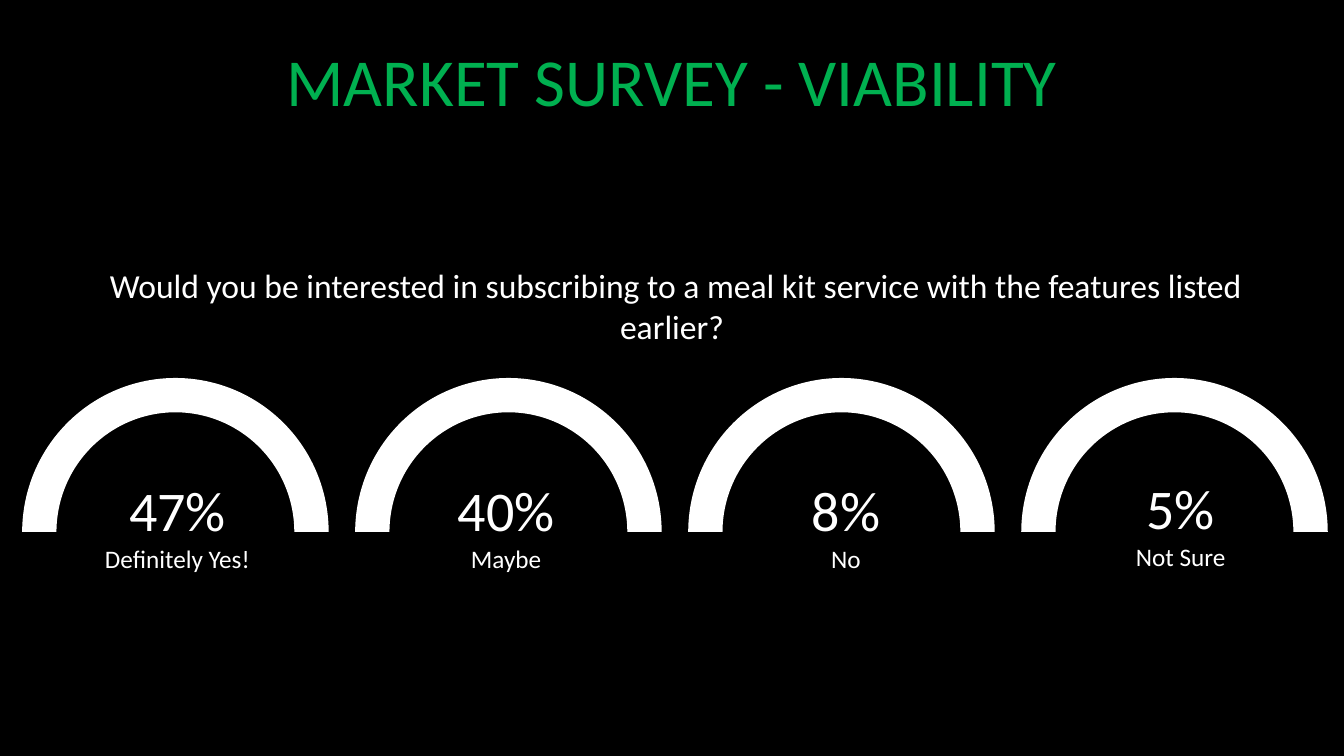
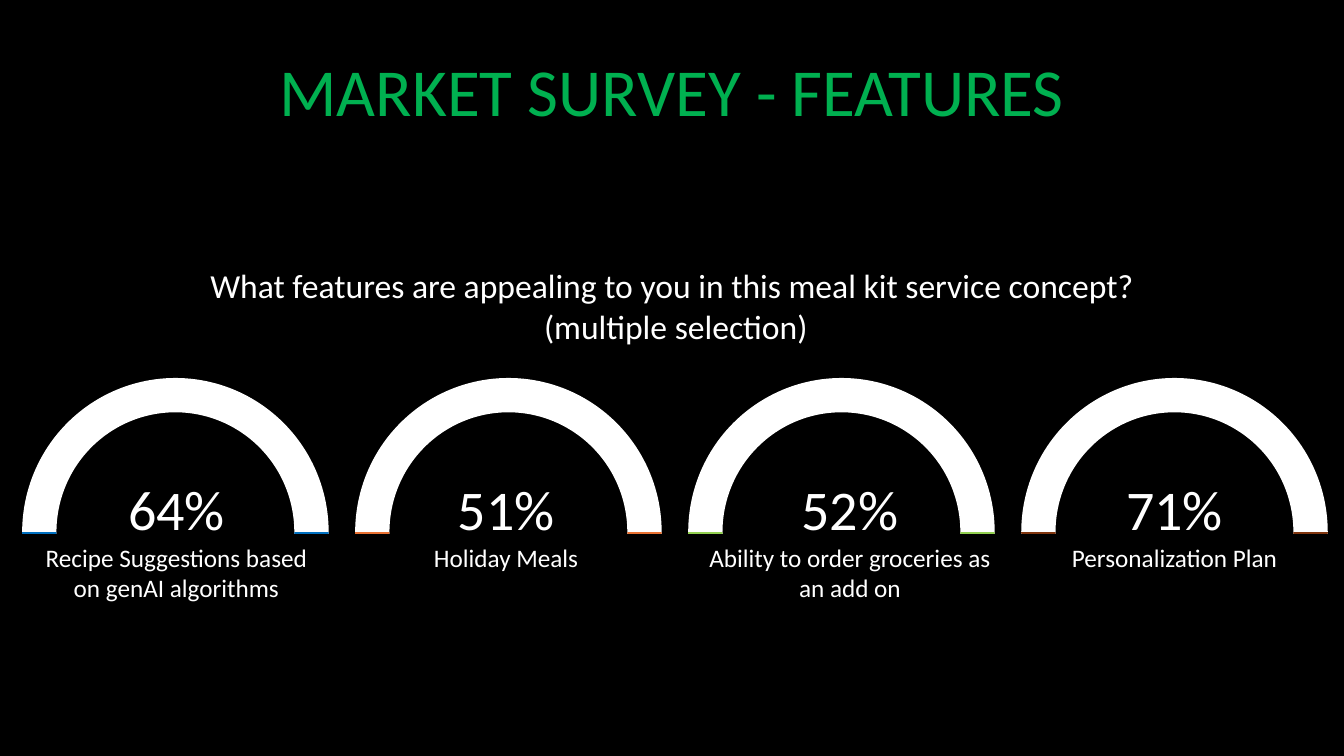
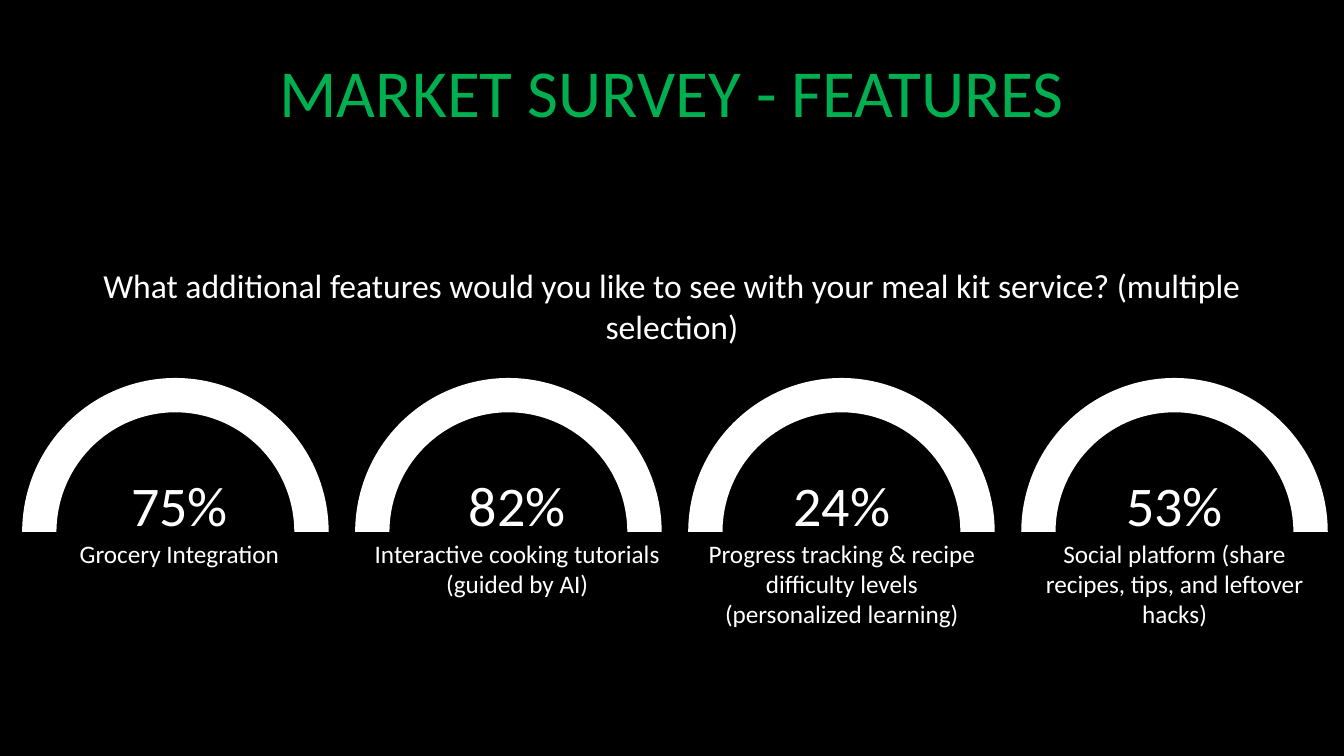
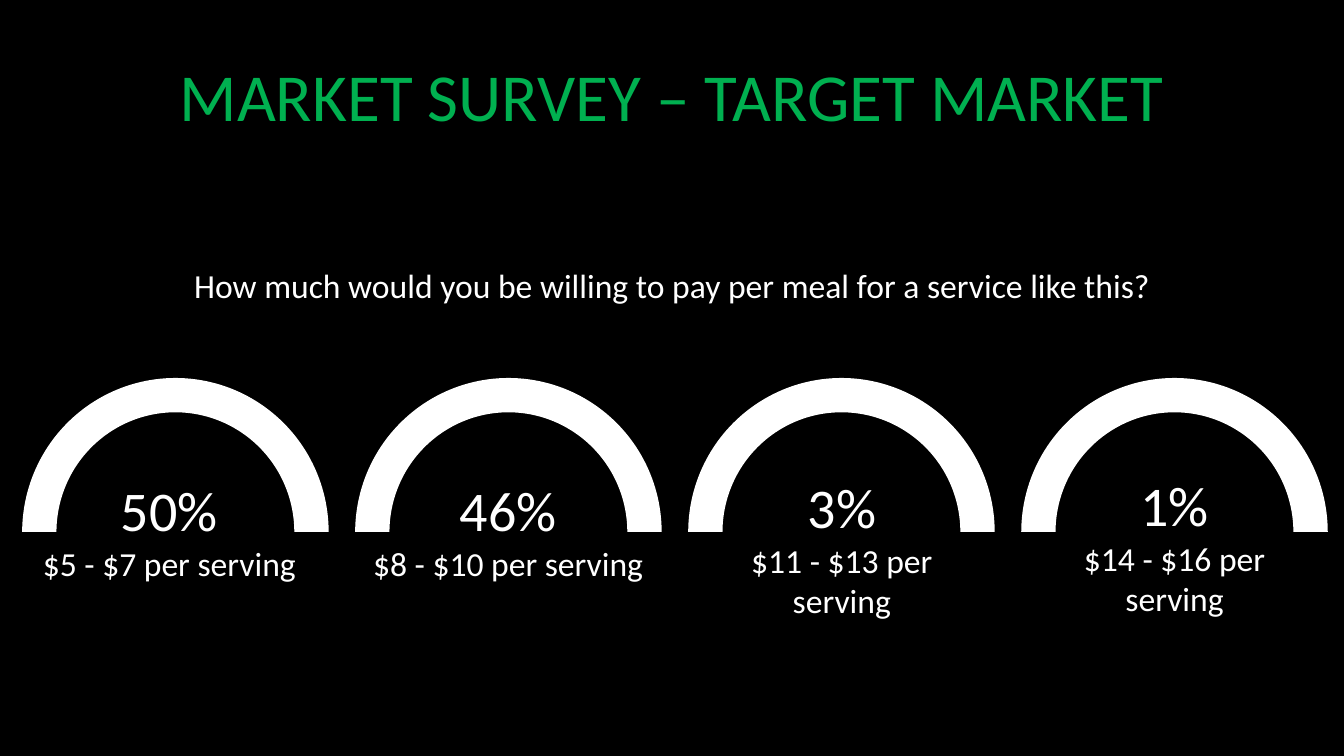
from pptx import Presentation
from pptx.dml.color import RGBColor
from pptx.enum import shapes, text
from pptx.util import Inches, Pt
from lxml import etree

BLACK = RGBColor(0x00, 0x00, 0x00)
WHITE = RGBColor(0xFF, 0xFF, 0xFF)
GREEN = RGBColor(0x00, 0xB0, 0x50)
BLUE = RGBColor(0x00, 0x70, 0xC0)
ORANGE = RGBColor(0xE9, 0x71, 0x32)
LIME = RGBColor(0x92, 0xD0, 0x50)
BROWN = RGBColor(0x80, 0x35, 0x0E)

FONT = "Calibri"
SLIDE_W, SLIDE_H = 13.33, 7.5
# Gauge row: four equal rings, lower halves masked by a band
GAUGE_X, GAUGE_Y, GAUGE_STEP = 0.22, 3.75, 3.303
GAUGE_W, GAUGE_H, RING = 3.04, 3.06, 0.112
BASELINE = GAUGE_Y + GAUGE_H / 2
EDGE = 0.02
HALF_TURN = 108  # 180 degrees in adjustment units


def add_text(tf, content, size, color=WHITE, first=True):
    """Write one centred paragraph in the deck's font."""
    p = tf.paragraphs[0] if first else tf.add_paragraph()
    p.alignment = text.PP_ALIGN.CENTER
    p.space_before = Pt(0)
    r = p.add_run()
    r.text = content
    r.font.name, r.font.size, r.font.color.rgb = FONT, Pt(size), color
    return p


class SurveyDeck:
    def __init__(self):
        self.prs = Presentation()
        self.prs.slide_width = Inches(SLIDE_W)
        self.prs.slide_height = Inches(SLIDE_H)
        fill = self.prs.slide_master.background.fill
        fill.solid()
        fill.fore_color.rgb = BLACK
        self.s = None

    def new_slide(self):
        self.s = self.prs.slides.add_slide(self.prs.slide_layouts[1])

    def place(self, sp, left, top, width, height):
        """Position a text shape and give it the common frame settings."""
        sp.left, sp.top = Inches(left), Inches(top)
        sp.width, sp.height = Inches(width), Inches(height)
        tf = sp.text_frame
        tf.word_wrap = True
        tf.auto_size = text.MSO_AUTO_SIZE.NONE
        tf.vertical_anchor = text.MSO_ANCHOR.TOP
        return tf

    def title(self, content, top, width):
        tf = self.place(self.s.shapes.title, (SLIDE_W - width) / 2, top, width, 0.91)
        add_text(tf, content, 48, GREEN)

    def question(self, lines, height):
        tf = self.place(self.s.placeholders[1], 0.44, 2.58, 12.45, height)
        for i, line in enumerate(lines):
            pPr = add_text(tf, line, 24, first=i == 0)._p.get_or_add_pPr()
            pPr.set("marL", "0")
            pPr.set("indent", "0")
            etree.SubElement(pPr, pPr.tag.replace("pPr", "buNone"))

    def shape(self, kind, left, top, width, height, color):
        sp = self.s.shapes.add_shape(kind, Inches(left), Inches(top),
                                     Inches(width), Inches(height))
        sp.shadow.inherit = False
        sp.fill.solid()
        sp.fill.fore_color.rgb = color
        sp.line.fill.background()
        return sp

    def gauge(self, index, tip=None):
        """White ring, optionally with a coloured lower half."""
        frame = (GAUGE_X + index * GAUGE_STEP, GAUGE_Y, GAUGE_W, GAUGE_H)
        ring = self.shape(shapes.MSO_SHAPE.DONUT, *frame, WHITE)
        ring.adjustments[0] = RING
        if tip is not None:
            lower = self.shape(shapes.MSO_SHAPE.BLOCK_ARC, *frame, tip)
            for i, value in enumerate((0, HALF_TURN, RING)):
                lower.adjustments[i] = value

    def mask(self, top):
        """Band that cuts the rings into arches."""
        self.shape(shapes.MSO_SHAPE.RECTANGLE, 0, top, SLIDE_W, 1.66, BLACK)

    def label(self, percent, caption, left, top, height, size):
        box = self.s.shapes.add_textbox(0, 0, 0, 0)
        tf = self.place(box, left, top, GAUGE_W, height)
        add_text(tf, percent, 40)
        add_text(tf, caption, size, first=False)


# title, title top, title width, question lines, question height,
# caption size, edge colours, answers (percent, caption, left, top, height)
SURVEY = [
    ("MARKET SURVEY - VIABILITY", 0.34, 10.02,
     [" Would you be interested in subscribing to a meal kit service with "
      "the features listed earlier?"], 0.91, 18, [],
     [("47%", "Definitely Yes!", 0.24, 4.67, 1.38),
      ("40%", "Maybe", 3.5, 4.67, 1.38),
      ("8%", "No", 6.87, 4.67, 1.08),
      ("5%", "Not Sure", 10.19, 4.65, 1.08)]),
    ("MARKET SURVEY - FEATURES", 0.44, 10.02,
     ["What features are appealing to you in this meal kit service concept?",
      " (multiple selection)"], 0.91, 18, [BLUE, ORANGE, LIME, BROWN],
     [("64%", "Recipe Suggestions based on genAI algorithms", 0.23, 4.66, 1.99),
      ("51%", "Holiday Meals", 3.5, 4.66, 1.38),
      ("52%", "Ability to order groceries as an add on", 6.91, 4.66, 1.68),
      ("71%", "Personalization Plan", 10.13, 4.66, 1.38)]),
    ("MARKET SURVEY - FEATURES", 0.45, 10.12,
     ["What additional features would you like to see with your meal kit "
      "service? (multiple selection)"], 0.91, 18, [],
     [("75%", "Grocery Integration", 0.26, 4.62, 1.08),
      ("82%", "Interactive cooking tutorials (guided by AI)", 3.61, 4.62, 1.68),
      ("24%", "Progress tracking & recipe difficulty levels "
              "(personalized learning)", 6.83, 4.62, 1.99),
      ("53%", "Social platform (share recipes, tips, and leftover hacks)",
       10.13, 4.62, 1.99)]),
    ("MARKET SURVEY – TARGET MARKET", 0.49, 12.45,
     ["How much would you be willing to pay per meal for a service like this?"],
     0.5, 24, [],
     [("50%", "$5 - $7 per serving", 0.16, 4.67, 1.58),
      ("46%", "$8 - $10 per serving", 3.52, 4.67, 1.88),
      ("3%", "$11 - $13 per serving", 6.83, 4.64, 1.88),
      ("1%", "$14 - $16 per serving", 10.13, 4.62, 1.88)]),
]


def main():
    deck = SurveyDeck()
    for title, top, width, lines, height, size, tips, answers in SURVEY:
        deck.new_slide()
        deck.title(title, top, width)
        deck.question(lines, height)
        for i in range(len(answers)):
            deck.gauge(i, tips[i] if tips else None)
        deck.mask(BASELINE + EDGE if tips else BASELINE)
        for answer in answers:
            deck.label(*answer, size)
    deck.prs.save("out.pptx")


if __name__ == "__main__":
    main()
